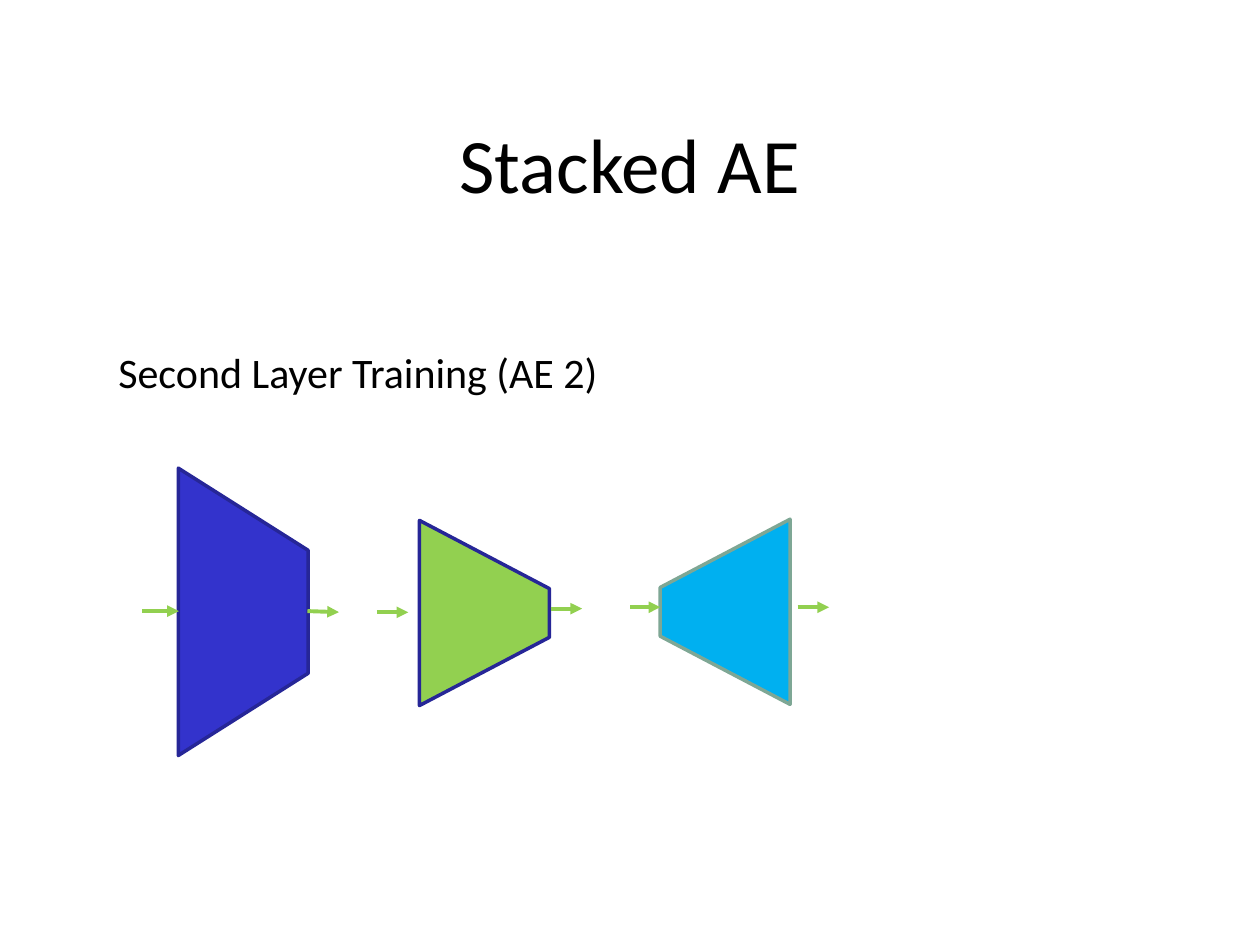
import lxml.etree
import pptx
import pptx.dml.color
import pptx.enum.shapes
import pptx.enum.text
import pptx.oxml.ns
import pptx.util

Pt = pptx.util.Pt
RGBColor = pptx.dml.color.RGBColor
qn = pptx.oxml.ns.qn

BLACK = RGBColor(0x00, 0x00, 0x00)
BLUE = RGBColor(0x33, 0x33, 0xCC)
NAVY = RGBColor(0x26, 0x26, 0x97)
GREEN = RGBColor(0x92, 0xD0, 0x50)
SKY = RGBColor(0x00, 0xB0, 0xF0)
SAGE = RGBColor(0x7E, 0xA7, 0x95)

STAGE_DEPTH = 74.2


def add_text(slide, box, text, size, align, anchor):
    """Place one line of text in the box."""
    frame = slide.shapes.add_textbox(*map(Pt, box)).text_frame
    frame.word_wrap = True
    frame.vertical_anchor = anchor
    line = frame.paragraphs[0]
    line.text = text
    line.alignment = align
    line.font.name = "Calibri"
    line.font.size = Pt(size)
    line.font.color.rgb = BLACK


def add_arrow(slide, start, end, y, end_y):
    """Draw a green flow arrow from (start, y) to (end, end_y)."""
    arrow = slide.shapes.add_connector(
        pptx.enum.shapes.MSO_CONNECTOR.STRAIGHT, Pt(start), Pt(y), Pt(end), Pt(end_y))
    arrow.line.color.rgb = GREEN
    arrow.line.width = Pt(2.25)
    lxml.etree.SubElement(arrow.line._get_or_add_ln(), qn("a:tailEnd"), type="triangle")
    lxml.etree.SubElement(arrow._element.spPr, qn("a:effectLst"))


def add_stage(slide, box, rotation, taper, fill, outline, arrows):
    """Draw a coder trapezoid in its upright box, with arrows offset from its left middle."""
    left, top, width, height = box
    middle = top + height / 2
    coder = slide.shapes.add_shape(
        pptx.enum.shapes.MSO_SHAPE.TRAPEZOID,
        Pt(left + (width - height) / 2), Pt(middle - width / 2), Pt(height), Pt(width))
    coder.rotation = rotation
    coder.adjustments[0] = taper
    coder.shadow.inherit = False
    coder.fill.solid()
    coder.fill.fore_color.rgb = fill
    coder.line.color.rgb = outline
    coder.line.width = Pt(2)
    for start, end, rise, end_rise in arrows:
        add_arrow(slide, left + start, left + end, middle + rise, middle + end_rise)


def main():
    """Build the stacked autoencoder slide."""
    deck = pptx.Presentation()
    deck.slide_width, deck.slide_height = Pt(720), Pt(540)
    slide = deck.slides.add_slide(deck.slide_layouts[6])
    align, anchor = pptx.enum.text.PP_ALIGN, pptx.enum.text.MSO_ANCHOR

    add_text(slide, (54, 48, 612, 90), "Stacked AE", 44, align.CENTER, anchor.MIDDLE)
    add_text(slide, (60.5, 194.4, 428.4, 36), "Second Layer Training (AE 2)", 24,
             align.LEFT, anchor.TOP)

    add_stage(slide, (101.9, 267.5, STAGE_DEPTH, 164.2), 90, 0.633, BLUE, NAVY,
              [(-20.5, 0.3, -0.4, -0.4), (73.8, 91.8, -0.4, 0.2)])
    add_stage(slide, (239.7, 297.4, STAGE_DEPTH, 105.8), 90, 0.525, GREEN, NAVY,
              [(-24.4, -6.4, -0.4, -0.4), (74.9, 92.9, -2.5, -2.5)])
    add_stage(slide, (377.3, 296.7, STAGE_DEPTH, 105.8), 270, 0.525, SKY, SAGE,
              [(-17.3, 0, -2.6, -2.6), (78.5, 96.5, -2.6, -2.6)])
    deck.save("out.pptx")


if __name__ == "__main__":
    main()
